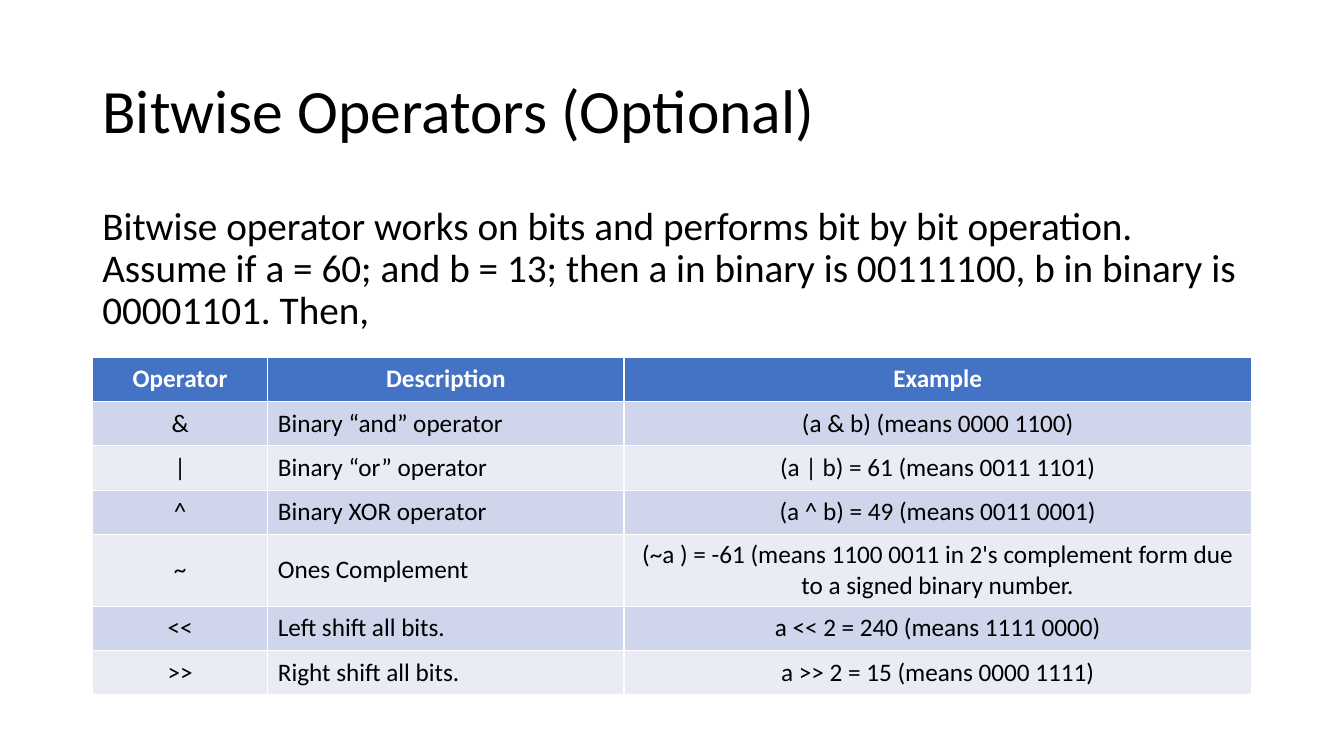
from pptx import Presentation
from pptx.dml.color import RGBColor
from pptx.enum import text
from pptx.util import Pt

TITLE = "Bitwise Operators (Optional)"
INTRO = ("Bitwise operator works on bits and performs bit by bit operation. "
         "Assume if a = 60; and b = 13; then a in binary is 00111100, "
         "b in binary is 00001101. Then,")
ROWS = [
    ("Operator", "Description", "Example"),
    ("&", "Binary “and” operator", "(a & b) (means 0000 1100)"),
    ("|", "Binary “or” operator", "(a | b) = 61 (means 0011 1101)"),
    ("^", "Binary XOR operator", "(a ^ b) = 49 (means 0011 0001)"),
    ("~", "Ones Complement",
     "(~a ) = -61 (means 1100 0011 in 2's complement form due to a signed binary number."),
    ("<<", "Left shift all bits.", "a << 2 = 240 (means 1111 0000)"),
    (">>", "Right shift all bits.", "a >> 2 = 15 (means 0000 1111)"),
]
COLUMN_WIDTHS = (125.3, 254.4, 448.3)
ROW_HEIGHT = 31.7
LEFT, WIDTH = 66, 828
HEADER_FILL, BAND_FILLS = "4472C4", ("E9EBF5", "CFD5EA")
BLACK, WHITE = "000000", "FFFFFF"
LEFT_ALIGN, CENTER = text.PP_ALIGN.LEFT, text.PP_ALIGN.CENTER
MIDDLE, TOP = text.MSO_ANCHOR.MIDDLE, text.MSO_ANCHOR.TOP


def rgb(value):
    return RGBColor.from_string(value)


def write(tf, words, size, color=BLACK, align=LEFT_ALIGN, bold=False):
    tf.text = words
    p = tf.paragraphs[0]
    p.alignment = align
    p.font.name, p.font.size, p.font.bold = "Calibri", Pt(size), bold
    p.font.color.rgb = rgb(color)


def write_block(sp, top, height, anchor, words, size):
    """Place a full-width text shape and fill it with one paragraph."""
    sp.left, sp.top, sp.width, sp.height = Pt(LEFT), Pt(top), Pt(WIDTH), Pt(height)
    tf = sp.text_frame
    tf.word_wrap = True
    tf.auto_size = text.MSO_AUTO_SIZE.NONE
    tf.vertical_anchor = anchor
    write(tf, words, size)
    tf.paragraphs[0].line_spacing = 0.9


def add_operator_table(slide):
    table = slide.shapes.add_table(
        len(ROWS), len(COLUMN_WIDTHS), Pt(LEFT), Pt(255),
        Pt(WIDTH), Pt(ROW_HEIGHT * len(ROWS))).table
    for column, width in zip(table.columns, COLUMN_WIDTHS):
        column.width = Pt(width)
    for i, row in enumerate(ROWS):
        header = i == 0
        table.rows[i].height = Pt(ROW_HEIGHT)
        for j, words in enumerate(row):
            cell = table.cell(i, j)
            cell.vertical_anchor = MIDDLE
            cell.fill.solid()
            cell.fill.fore_color.rgb = rgb(HEADER_FILL if header else BAND_FILLS[i % 2])
            write(cell.text_frame, words, 18, WHITE if header else BLACK,
                  CENTER if header or j != 1 else LEFT_ALIGN, header)


def main():
    prs = Presentation()
    prs.slide_width, prs.slide_height = Pt(960), Pt(540)
    slide = prs.slides.add_slide(prs.slide_layouts[5])
    write_block(slide.shapes.title, 28.75, 104.4, MIDDLE, TITLE, 44)
    intro = slide.shapes.add_textbox(0, 0, 0, 0)
    write_block(intro, 143.75, 342.6, TOP, INTRO, 28)
    add_operator_table(slide)
    prs.save("out.pptx")


if __name__ == "__main__":
    main()
